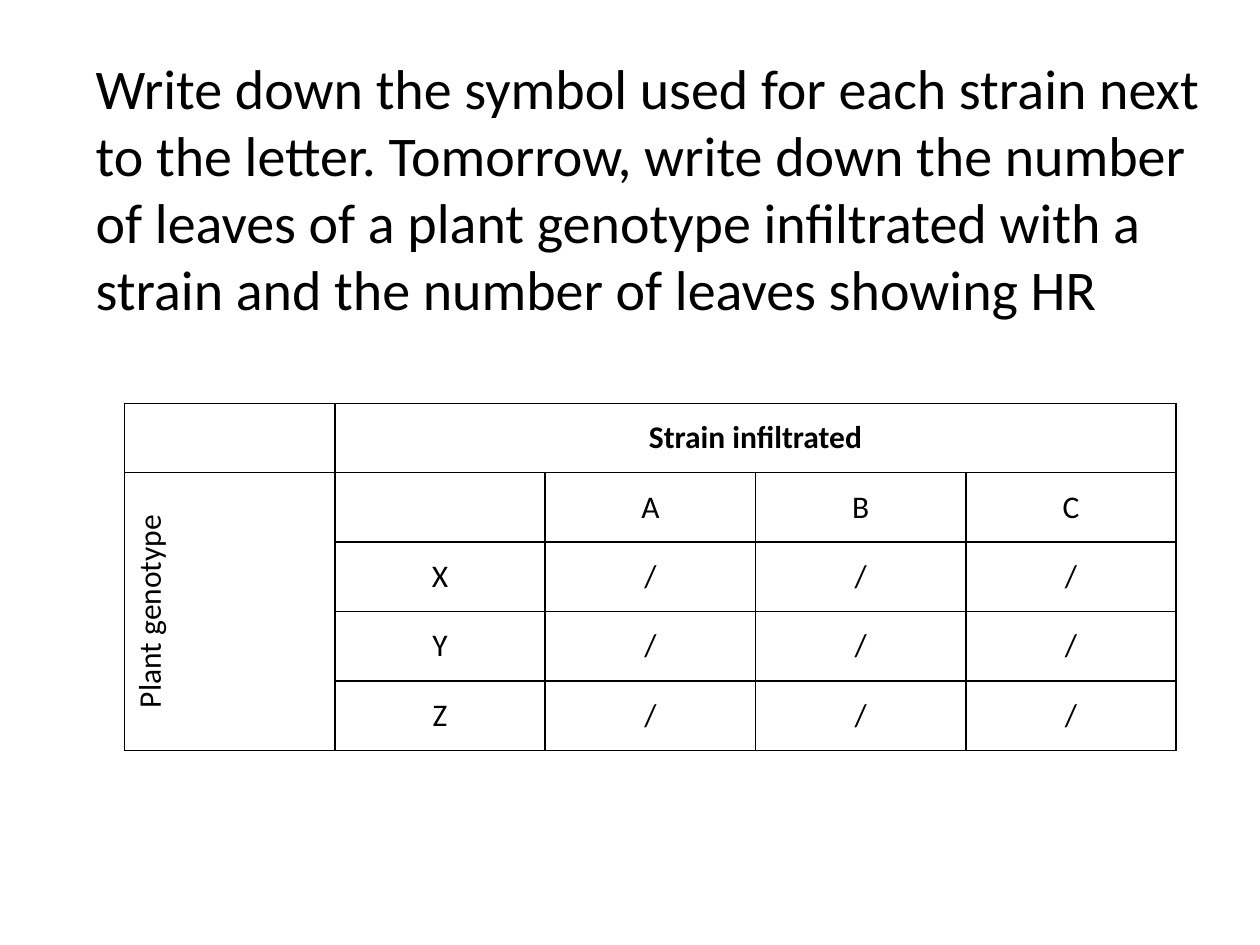
from lxml import etree
from pptx import Presentation
from pptx.dml.color import RGBColor
from pptx.enum.text import MSO_ANCHOR, PP_ALIGN
from pptx.oxml.ns import qn
from pptx.util import Cm, Pt

MID = MSO_ANCHOR.MIDDLE
MID_ALIGN = PP_ALIGN.CENTER
LEFT_ALIGN = PP_ALIGN.LEFT
COLORS = {"ink": "000000"}
FONT = "Calibri"
TASK = (
    "Write down the symbol used for each strain next to the letter. "
    "Tomorrow, write down the number of leaves of a plant genotype "
    "infiltrated with a strain and the number of leaves showing HR"
)
STRAINS = ["A", "B", "C"]
PLANTS = ["X", "Y", "Z"]
COL = Cm(4.24)
ROW = Cm(1.4)


def assign(item, values):
    """Set each named format value on an item."""
    for name, value in values.items():
        setattr(item, name, value)


def write(frame, text, size, align, bold=False):
    """Put one styled paragraph in a text frame."""
    para = frame.paragraphs[0]
    para.alignment = align
    run = para.add_run()
    run.text = text
    assign(run.font, {"name": FONT, "size": Pt(size), "bold": bold})
    run.font.color.rgb = RGBColor.from_string(COLORS["ink"])


def add_task(slide):
    """Add the task text above the table."""
    box = slide.shapes.add_textbox(Cm(1.68), Cm(0.95), Cm(22.86), Cm(6.2))
    box.text_frame.word_wrap = True
    write(box.text_frame, TASK, 32, LEFT_ALIGN)


def style_cell(cell):
    """Give a cell thin borders, no fill and middle anchoring."""
    props = cell._tc.get_or_add_tcPr()
    for side in ("a:lnL", "a:lnR", "a:lnT", "a:lnB"):
        line = etree.SubElement(props, qn(side), w=str(Pt(1)))
        fill = etree.SubElement(line, qn("a:solidFill"))
        etree.SubElement(fill, qn("a:srgbClr"), val=COLORS["ink"])
    cell.fill.background()
    cell.vertical_anchor = MID


def add_grid(slide):
    """Add the table of plant genotypes against strains."""
    heads = ["Plant genotype", "", *STRAINS]
    body = [["", plant] + ["/"] * len(STRAINS) for plant in PLANTS]
    rows = [["", "Strain infiltrated", "", "", ""], heads, *body]
    count, width = len(rows), len(heads)
    frame = slide.shapes.add_table(
        count, width, Cm(2.51), Cm(8.13), COL * width, ROW * count
    )
    table = frame.table
    assign(table, {"first_row": False, "horz_banding": False})
    for r, row in enumerate(rows):
        table.rows[r].height = ROW
        for c, text in enumerate(row):
            cell = table.cell(r, c)
            style_cell(cell)
            if text:
                write(cell.text_frame, text, 18, MID_ALIGN, r == 0)
    table.cell(0, 1).merge(table.cell(0, width - 1))
    side = table.cell(1, 0)
    side.merge(table.cell(count - 1, 0))
    side._tc.get_or_add_tcPr().set("vert", "vert270")


def main():
    """Build and save the slide."""
    deck = Presentation()
    assign(deck, {"slide_width": Cm(25.4), "slide_height": Cm(19.05)})
    slide = deck.slides.add_slide(deck.slide_layouts[6])
    add_grid(slide)
    add_task(slide)
    deck.save("out.pptx")


if __name__ == "__main__":
    main()
